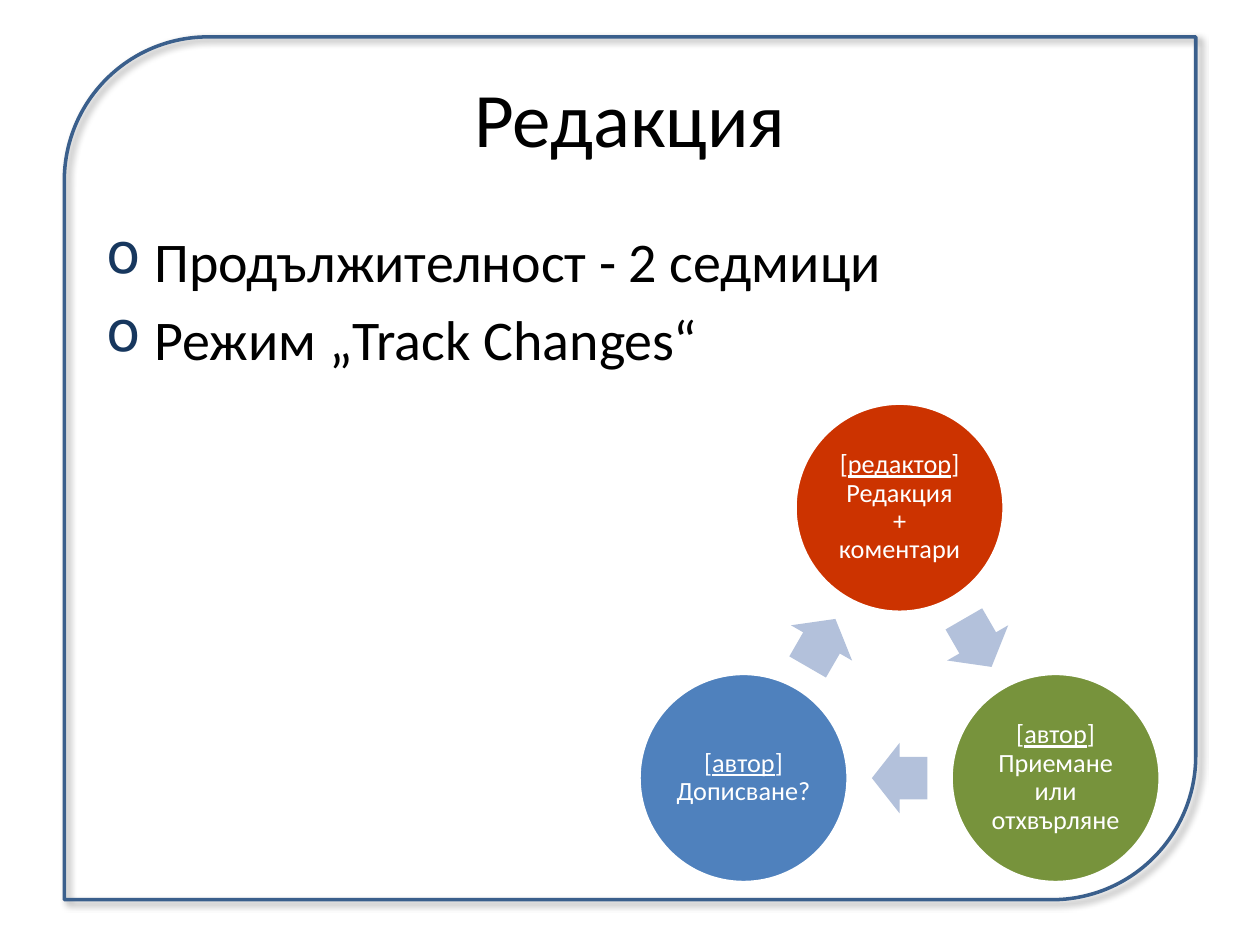
from dataclasses import dataclass
from math import cos, radians, sin

from lxml import etree
from pptx import Presentation
from pptx.dml.color import RGBColor
from pptx.enum.shapes import MSO_SHAPE
from pptx.enum.text import MSO_ANCHOR, PP_ALIGN
from pptx.oxml.ns import qn
from pptx.util import Inches, Pt

CENTER = PP_ALIGN.CENTER
MIDDLE = MSO_ANCHOR.MIDDLE
FRAME = MSO_SHAPE.ROUND_2_DIAG_RECTANGLE
OVAL = MSO_SHAPE.OVAL
ARROW = MSO_SHAPE.RIGHT_ARROW
TITLE_ONLY = 5
WIDTH, HEIGHT = 10, 7.5


@dataclass(frozen=True)
class Theme:
    font: str = "Calibri"
    title: float = 44
    body: float = 32
    node: float = 15
    ink: str = "000000"
    paper: str = "FFFFFF"
    bullet: str = "17375E"
    frame: str = "3A5F8C"
    arrow: str = "B3C1DB"
    red: str = "CC3300"
    green: str = "77933C"
    blue: str = "4F81BD"


THEME = Theme()
BULLETS = ["Продължителност - 2 седмици", "Режим „Track Changes“"]
STEPS = [
    ("редактор", ["Редакция", "+", "коментари"], THEME.red),
    ("автор", ["Приемане или отхвърляне"], THEME.green),
    ("автор", ["Дописване?"], THEME.blue),
]
CYCLE_CENTER = (7.14, 5.46)
CYCLE_RADIUS = 1.43
NODE_SIZE = 1.66
ARROW_SIZE = (0.44, 0.56)


def rgb(value):
    return RGBColor.from_string(value)


def share(x, y, w, h):
    return [Inches(v) for v in (x * WIDTH, y * HEIGHT, w * WIDTH, h * HEIGHT)]


def centered(x, y, w, h):
    return [Inches(v) for v in (x - w / 2, y - h / 2, w, h)]


def add_run(p, text, size, color, underline=None):
    r = p.add_run()
    r.text = text
    r.font.name = THEME.font
    r.font.size = Pt(size)
    r.font.color.rgb = rgb(color)
    r.font.underline = underline


def add_title(s, text):
    sp = s.shapes.title
    sp.left, sp.top, sp.width, sp.height = share(0.05, 0.04, 0.9, 1 / 6)
    tf = sp.text_frame
    tf.vertical_anchor = MIDDLE
    p = tf.paragraphs[0]
    p.alignment = CENTER
    add_run(p, text, THEME.title, THEME.ink)


def set_bullet(p):
    pPr = p._p.get_or_add_pPr()
    pPr.set("marL", str(Inches(0.38)))
    pPr.set("indent", str(-Inches(0.38)))
    color = etree.SubElement(pPr, qn("a:buClr"))
    etree.SubElement(color, qn("a:srgbClr"), val=THEME.bullet)
    etree.SubElement(pPr, qn("a:buChar"), char="o")


def add_bullets(s, lines):
    tf = s.shapes.add_textbox(*share(0.075, 0.233, 0.875, 0.66)).text_frame
    tf.word_wrap = True
    for i, line in enumerate(lines):
        p = tf.add_paragraph() if i else tf.paragraphs[0]
        p.space_before = Pt(THEME.body * 0.2)
        set_bullet(p)
        add_run(p, line, THEME.body, THEME.ink)


def add_frame(s):
    sp = s.shapes.add_shape(FRAME, *share(0.051, 0.039, 0.898, 0.913))
    sp.rotation = 180
    sp.fill.background()
    sp.line.color.rgb = rgb(THEME.frame)
    sp.line.width = Pt(2)
    sp.shadow.inherit = False
    effects = sp._element.spPr.find(qn("a:effectLst"))
    shadow = etree.SubElement(effects, qn("a:outerShdw"), blurRad=str(Pt(4)),
                              dist=str(Pt(3)), dir="2700000", rotWithShape="0")
    color = etree.SubElement(shadow, qn("a:srgbClr"), val=THEME.ink)
    etree.SubElement(color, qn("a:alpha"), val="40000")


def add_node(shapes, x, y, role, lines, color):
    sp = shapes.add_shape(OVAL, *centered(x, y, NODE_SIZE, NODE_SIZE))
    sp.shadow.inherit = False
    sp.fill.solid()
    sp.fill.fore_color.rgb = rgb(color)
    sp.line.color.rgb = rgb(THEME.paper)
    sp.line.width = Pt(2)
    tf = sp.text_frame
    tf.word_wrap = True
    tf.vertical_anchor = MIDDLE
    tf.margin_left = tf.margin_right = Inches(0.02)
    tf.margin_top = tf.margin_bottom = Inches(0.02)
    p = tf.paragraphs[0]
    p.alignment = CENTER
    p.line_spacing = 0.9
    for text, underline in (("[", False), (role, True), ("]", False)):
        add_run(p, text, THEME.node, THEME.paper, underline)
    for line in lines:
        p.add_line_break()
        add_run(p, line, THEME.node, THEME.paper)


def add_arrow(shapes, x, y, rotation):
    sp = shapes.add_shape(ARROW, *centered(x, y, *ARROW_SIZE))
    sp.adjustments[0] = 0.6
    sp.adjustments[1] = 0.5
    sp.rotation = rotation
    sp.shadow.inherit = False
    sp.fill.solid()
    sp.fill.fore_color.rgb = rgb(THEME.arrow)
    sp.line.fill.background()


def on_circle(angle, radius):
    cx, cy = CYCLE_CENTER
    return cx + radius * sin(radians(angle)), cy - radius * cos(radians(angle))


def add_cycle(s, steps):
    shapes = s.shapes.add_group_shape().shapes
    turn = 360 / len(steps)
    for i, (role, lines, color) in enumerate(steps):
        add_node(shapes, *on_circle(i * turn, CYCLE_RADIUS), role, lines, color)
        middle = (i + 0.5) * turn
        reach = CYCLE_RADIUS * cos(radians(turn / 2))
        add_arrow(shapes, *on_circle(middle, reach), middle)


def main():
    prs = Presentation()
    prs.slide_width, prs.slide_height = Inches(WIDTH), Inches(HEIGHT)
    s = prs.slides.add_slide(prs.slide_layouts[TITLE_ONLY])
    add_title(s, "Редакция")
    add_bullets(s, BULLETS)
    add_frame(s)
    add_cycle(s, STEPS)
    prs.save("out.pptx")


if __name__ == "__main__":
    main()
